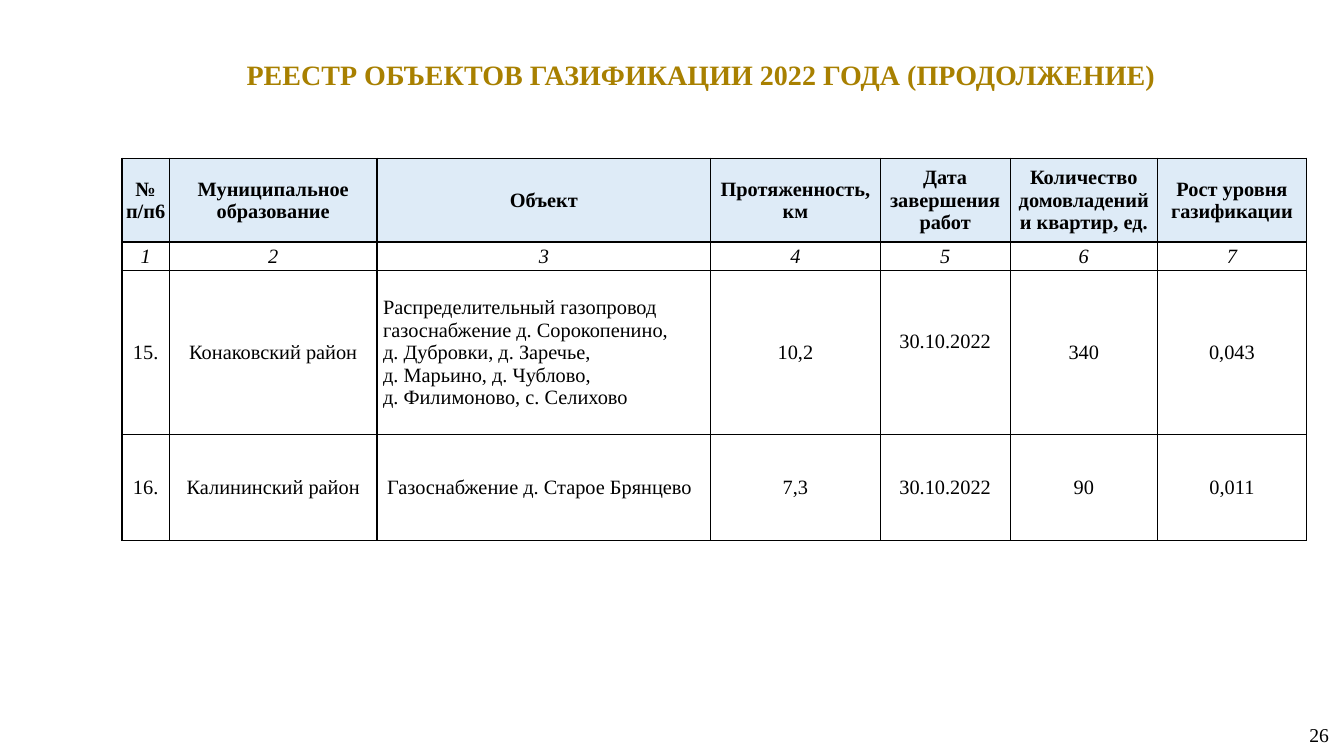
from lxml.etree import SubElement
from pptx import Presentation
from pptx.dml.color import RGBColor
from pptx.enum.text import MSO_ANCHOR, MSO_AUTO_SIZE, PP_ALIGN
from pptx.oxml.ns import qn
from pptx.util import Inches, Pt

HEADS = ["№ п/п6", "Муниципальное образование", "Объект", "Протяженность,\nкм",
         "Дата завершения работ", "Количество домовладений и квартир, ед.",
         "Рост уровня газификации"]
PIPES = "\n".join(["Распределительный газопровод", "газоснабжение д. Сорокопенино,",
                   "д. Дубровки, д. Заречье,", "д. Марьино, д. Чублово,",
                   "д. Филимоново, с. Селихово"])
ROWS = [
    HEADS,
    [str(num) for num in range(1, len(HEADS) + 1)],
    ["15.", "Конаковский район", PIPES, "10,2", "30.10.2022", "340", "0,043"],
    ["16.", "Калининский район", "Газоснабжение д. Старое Брянцево", "7,3",
     "30.10.2022", "90", "0,011"],
]
WIDTHS = [0.47, 2.06, 3.31, 1.68, 1.29, 1.46, 1.48]
HEIGHTS = [0.83, 0.28, 1.63, 1.05]
OBJECT, DATE = 2, 4


def color(code):
    return RGBColor.from_string(code)


class Deck:
    font = "Times New Roman"
    black, gold, blue = "000000", "A88000", "DEEBF7"

    def __init__(self):
        self.file = Presentation()
        self.file.slide_width = Inches(13.33)
        self.file.slide_height = Inches(7.5)
        self.slide = self.file.slides.add_slide(self.file.slide_layouts[5])

    def text(self, frame, words, size, tint=black, align=PP_ALIGN.CENTER,
             bold=False, slant=False):
        frame.text = words
        frame.word_wrap = True
        for para in frame.paragraphs:
            para.alignment = align
            font = para.font
            font.name, font.size = self.font, Pt(size)
            font.bold, font.italic = bold, slant
            font.color.rgb = color(tint)

    def title(self, words, left, top, width, height):
        shape = self.slide.shapes.title
        shape.left, shape.top = Inches(left), Inches(top)
        shape.width, shape.height = Inches(width), Inches(height)
        frame = shape.text_frame
        self.text(frame, words, 20, self.gold, bold=True)
        frame.vertical_anchor = MSO_ANCHOR.TOP
        frame.auto_size = MSO_AUTO_SIZE.SHAPE_TO_FIT_TEXT

    def number(self, words, left, top, width, height):
        box = self.slide.shapes.add_textbox(
            Inches(left), Inches(top), Inches(width), Inches(height))
        self.text(box.text_frame, words, 14, align=PP_ALIGN.RIGHT)
        box.text_frame.vertical_anchor = MSO_ANCHOR.MIDDLE

    def border(self, cell):
        props = cell._tc.get_or_add_tcPr()
        for side in ("lnL", "lnR", "lnT", "lnB"):
            line = SubElement(props, qn("a:" + side), w=str(Pt(1)))
            fill = SubElement(line, qn("a:solidFill"))
            SubElement(fill, qn("a:srgbClr"), val=self.black)

    def cell(self, cell, words, row, col):
        align = PP_ALIGN.LEFT if row > 1 and col == OBJECT else PP_ALIGN.CENTER
        self.text(cell.text_frame, words, 14.5, align=align,
                  bold=row == 0, slant=row == 1)
        cell.vertical_anchor = MSO_ANCHOR.MIDDLE
        # Only the last row keeps the default margins
        if row < 3:
            cell.margin_left = cell.margin_right = cell.margin_top = Inches(0.01)
            cell.margin_bottom = 0
        if row == 2 and col == OBJECT:
            cell.margin_left = Inches(0.06)
        if row == 2 and col == DATE:
            cell.margin_bottom = Inches(0.23)
        self.border(cell)
        if row == 0:
            cell.fill.solid()
            cell.fill.fore_color.rgb = color(self.blue)
        else:
            cell.fill.background()

    def table(self, rows, widths, heights, left, top):
        grid = self.slide.shapes.add_table(
            len(rows), len(widths), Inches(left), Inches(top),
            Inches(sum(widths)), Inches(sum(heights))).table
        grid.first_row = grid.horz_banding = False
        for col, width in zip(grid.columns, widths):
            col.width = Inches(width)
        for line, height in zip(grid.rows, heights):
            line.height = Inches(height)
        for row, texts in enumerate(rows):
            for col, words in enumerate(texts):
                self.cell(grid.cell(row, col), words, row, col)


def main():
    deck = Deck()
    # Heading
    deck.title("РЕЕСТР ОБЪЕКТОВ ГАЗИФИКАЦИИ 2022 ГОДА (ПРОДОЛЖЕНИЕ)",
               1.38, 0.52, 11.14, 0.44)
    # Register of gas supply works
    deck.table(ROWS, WIDTHS, HEIGHTS, 1.21, 1.57)
    # Page number
    deck.number("26", 10.57, 6.98, 2.71, 0.61)
    deck.file.save("out.pptx")


if __name__ == "__main__":
    main()
